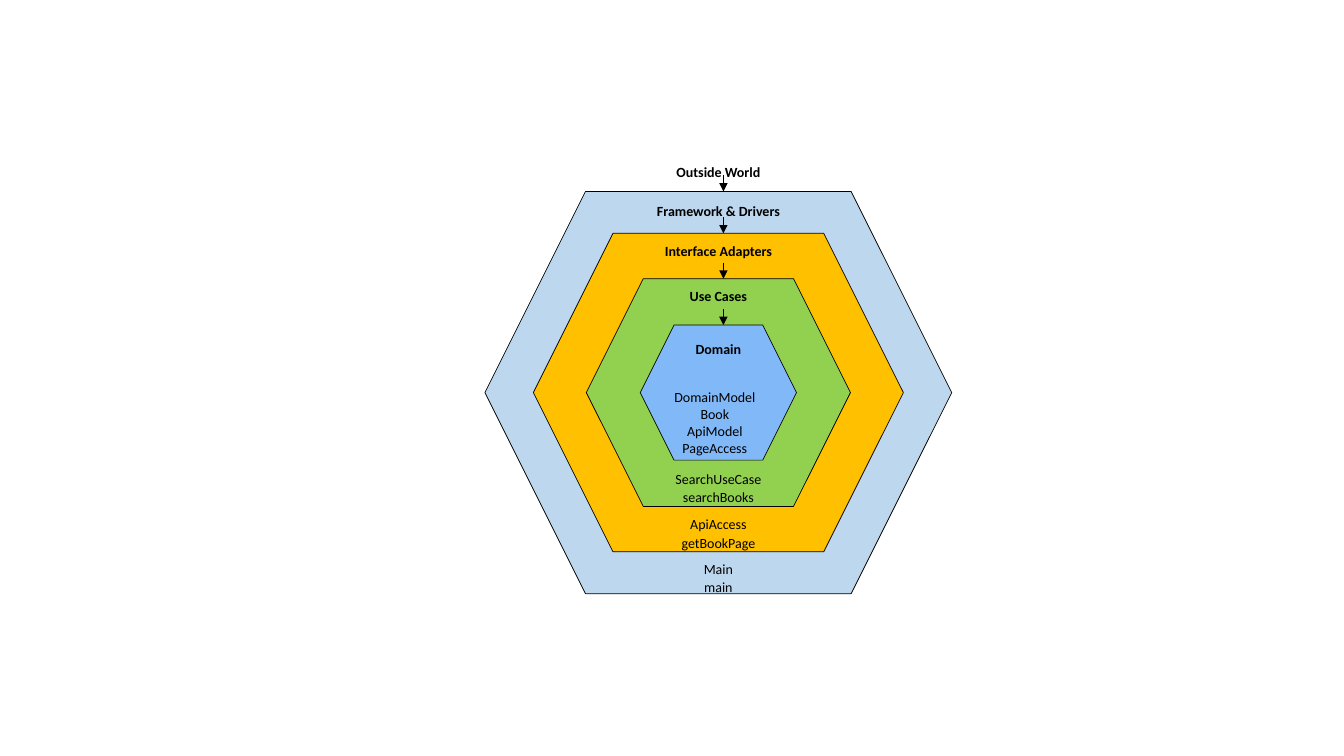
from collections import namedtuple

from lxml import etree
from pptx import Presentation
from pptx.dml.color import RGBColor
from pptx.enum import shapes, text
from pptx.oxml import ns
from pptx.util import Inches, Pt

BLACK = RGBColor(0x00, 0x00, 0x00)
PALE_BLUE = RGBColor(0xBD, 0xD7, 0xEE)
AMBER = RGBColor(0xFF, 0xC0, 0x00)
GREEN = RGBColor(0x92, 0xD0, 0x50)
BLUE = RGBColor(0x80, 0xB8, 0xF8)

Box = namedtuple("Box", "left top width height")
Layer = namedtuple("Layer", "width height color")
Label = namedtuple("Label", "top lines bold")

LAYERS = [
    Layer(4.63, 3.99, PALE_BLUE),
    Layer(3.67, 3.16, AMBER),
    Layer(2.62, 2.26, GREEN),
    Layer(1.55, 1.34, BLUE),
]
LABELS = [
    Label(-0.29, ["Outside World"], True),
    Label(0.09, ["Framework & Drivers"], True),
    Label(0.49, ["Interface Adapters"], True),
    Label(0.94, ["Use Cases"], True),
    Label(1.46, ["Domain"], True),
    Label(2.75, ["SearchUseCase", "searchBooks"], False),
    Label(3.2, ["ApiAccess", "getBookPage"], False),
    Label(3.64, ["Main", "main"], False),
]
DOMAIN_TYPES = ["DomainModel", "Book", "ApiModel", "PageAccess"]
LABEL_WIDTH, LABEL_HEIGHT = 1.55, 0.24
ARROW_LENGTH, ARROW_SHIFT = 0.16, 0.05


def add_text(parent, box, lines, bold=False, inset=(0, 0), spacing=1.0, before=0):
    """Add a centred text box with one paragraph per line."""
    frame = parent.add_textbox(*map(Inches, box)).text_frame
    frame.word_wrap = True
    frame.margin_left = frame.margin_right = Inches(inset[0])
    frame.margin_top = frame.margin_bottom = Inches(inset[1])
    for index, line in enumerate(lines):
        para = frame.add_paragraph() if index else frame.paragraphs[0]
        para.alignment = text.PP_ALIGN.CENTER
        para.line_spacing = spacing
        para.space_before = Pt(0 if index else before)
        span = para.add_run()
        span.text = line
        span.font.name = "Calibri"
        span.font.size = Pt(10)
        span.font.bold = bold
        span.font.color.rgb = BLACK


def add_hexagon(parent, box, color):
    """Add a thinly outlined hexagon."""
    hexagon = parent.add_shape(shapes.MSO_SHAPE.HEXAGON, *map(Inches, box))
    hexagon.shadow.inherit = False
    hexagon.fill.solid()
    hexagon.fill.fore_color.rgb = color
    hexagon.line.color.rgb = BLACK
    hexagon.line.width = Pt(0.5)


def add_arrow(parent, x, tip):
    """Add a short downward arrow that ends at the tip."""
    arrow = parent.add_connector(
        shapes.MSO_CONNECTOR.STRAIGHT,
        Inches(x), Inches(tip - ARROW_LENGTH), Inches(x), Inches(tip),
    )
    arrow.line.color.rgb = BLACK
    arrow.line.width = Pt(0.5)
    etree.SubElement(arrow.line._get_or_add_ln(), ns.qn("a:tailEnd"), type="triangle")
    etree.SubElement(arrow._element.spPr, ns.qn("a:effectLst"))


def add_layers(page, box):
    """Draw the concentric layers with their labels and inward arrows."""
    parent = page.shapes.add_group_shape().shapes
    center_x = box.left + box.width / 2
    center_y = box.top + box.height / 2
    for layer in LAYERS:
        top = center_y - layer.height / 2
        left = center_x - layer.width / 2
        add_hexagon(parent, Box(left, top, layer.width, layer.height), layer.color)
    for label in LABELS:
        area = Box(center_x - LABEL_WIDTH / 2, box.top + label.top, LABEL_WIDTH, LABEL_HEIGHT)
        add_text(parent, area, label.lines, bold=label.bold, spacing=1.1, before=6)
    for layer in LAYERS:
        add_arrow(parent, center_x + ARROW_SHIFT, center_y - layer.height / 2)


def add_domain_types(page, box):
    """List the types that belong to the domain layer."""
    add_text(page.shapes, box, DOMAIN_TYPES, inset=(0.1, 0.05))


def main():
    """Build and save the deck."""
    deck = Presentation()
    deck.slide_width = Inches(13.33)
    deck.slide_height = Inches(7.5)
    page = deck.slides.add_slide(deck.slide_layouts[6])
    add_layers(page, Box(4.81, 1.9, 4.63, 3.99))
    add_domain_types(page, Box(6.34, 3.81, 1.5, 0.77))
    deck.save("out.pptx")


main()
